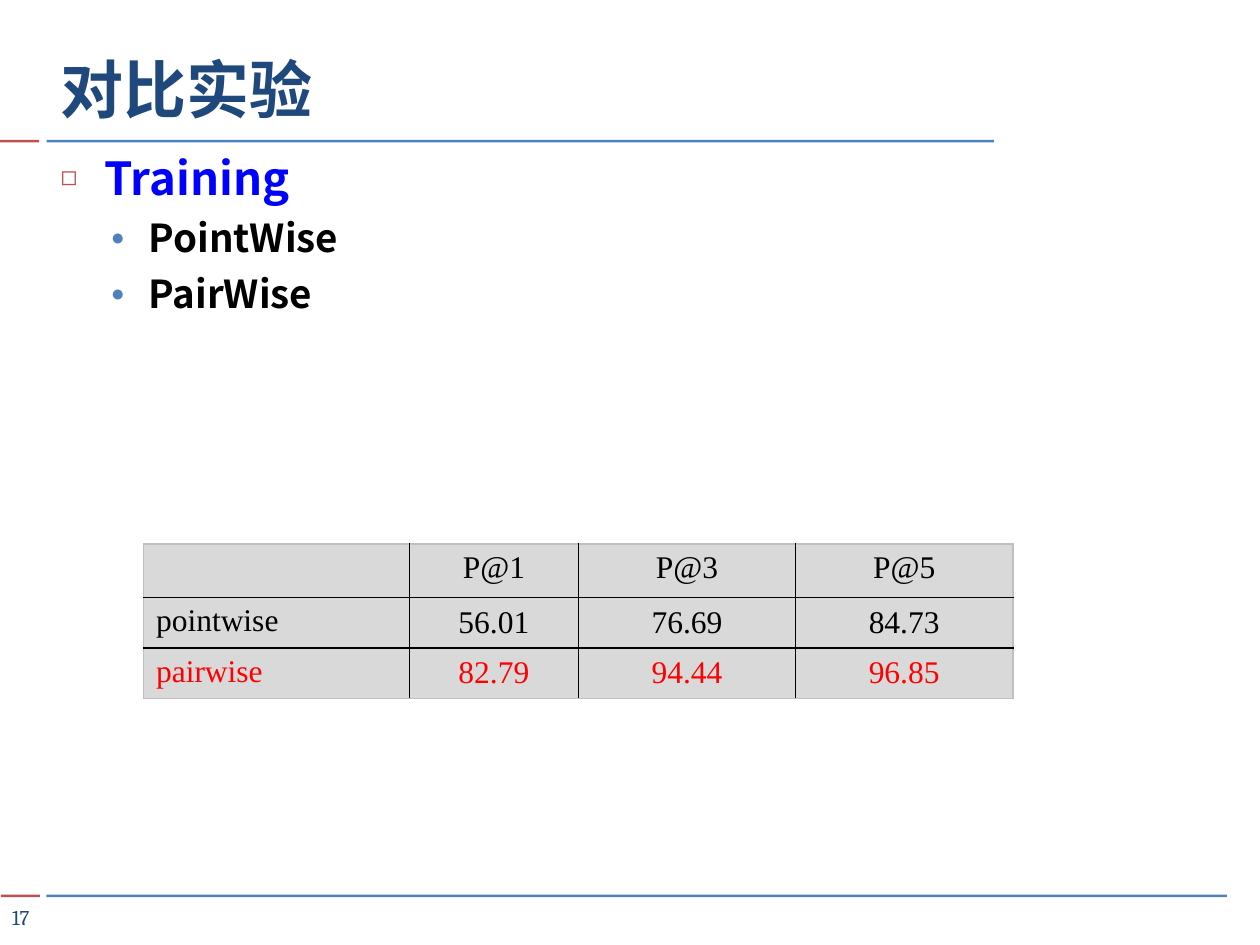
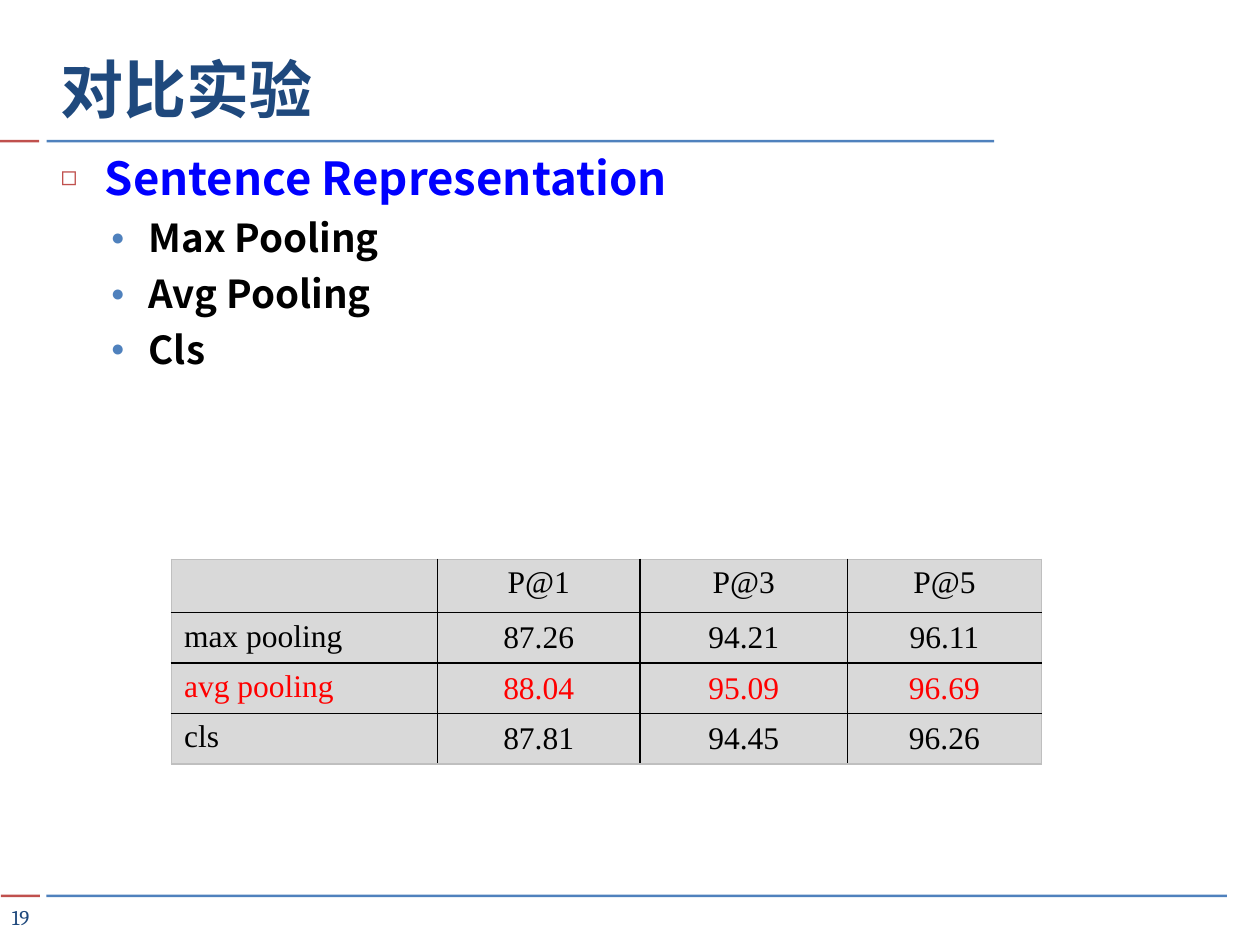
from lxml import etree
from pptx import Presentation
from pptx import util as u
from pptx.dml.color import RGBColor
from pptx.enum import shapes, text
from pptx.oxml.ns import qn

Pt = u.Pt
LEFT, MID = text.PP_ALIGN.LEFT, text.PP_ALIGN.CENTER


def hue(code):
    return RGBColor.from_string(code)


def node(parent, tag, **attrs):
    return etree.SubElement(parent, qn(tag), attrs)


def write(par, words, size=18, font="Cambria", color="000000", bold=False, align=LEFT, gap=0):
    par.alignment = align
    par.space_before = Pt(gap)
    run = par.add_run()
    run.text = words
    run.font.size = Pt(size)
    run.font.name = font
    run.font.bold = bold
    run.font.color.rgb = hue(color)
    node(run.font._element, "a:ea", typeface="Noto Sans CJK SC")


def bullet(par, sign, color, left, hang):
    props = par._p.get_or_add_pPr()
    props.set("marL", str(Pt(left)))
    props.set("indent", str(-Pt(hang)))
    node(node(props, "a:buClr"), "a:srgbClr", val=color)
    node(props, "a:buSzPct", val="60000")
    node(props, "a:buChar", char=sign)


def place(shape, box):
    shape.left, shape.top, shape.width, shape.height = map(Pt, box)


class Deck:
    navy, blue, red = "1F497D", "4F81BD", "C0504D"
    vivid, black, alert = "0000FF", "000000", "FF0000"
    grey, edge = "D9D9D9", "BFBFBF"
    sans, serif = "Noto Sans CJK SC", "Times New Roman"

    def __init__(self):
        self.prs = Presentation()
        self.prs.slide_width, self.prs.slide_height = Pt(720), Pt(540)

    def page(self, title, number):
        self.slide = self.prs.slides.add_slide(self.prs.slide_layouts[1])
        for top, start, width in ((79.9, 0, 541.5), (511.2, 0.5, 674.6)):
            self.bar(start, top, 22.4, self.red)
            self.bar(26.6, top, width, self.blue)
        self.title(title)
        self.number(number)

    def bar(self, left, top, width, color):
        rect = self.slide.shapes.add_shape(
            shapes.MSO_SHAPE.RECTANGLE, Pt(left), Pt(top), Pt(width), Pt(1.44))
        rect.shadow.inherit = False
        rect.fill.solid()
        rect.fill.fore_color.rgb = hue(color)
        rect.line.fill.background()

    def title(self, words):
        head = self.slide.shapes.title
        place(head, (27.4, 13, 534, 62.6))
        frame = head.text_frame
        frame.auto_size = text.MSO_AUTO_SIZE.NONE
        frame.vertical_anchor = text.MSO_ANCHOR.BOTTOM
        write(frame.paragraphs[0], words, size=36, color=self.navy, bold=True)

    def number(self, value):
        box = self.slide.shapes.add_textbox(Pt(1.4), Pt(514.1), Pt(20.9), Pt(20.2))
        frame = box.text_frame
        frame.word_wrap = True
        frame.margin_left = frame.margin_right = frame.margin_top = frame.margin_bottom = 0
        frame.vertical_anchor = text.MSO_ANCHOR.MIDDLE
        write(frame.paragraphs[0], str(value), size=12, color=self.navy, align=MID)

    def points(self, topic, items, height):
        body = self.slide.placeholders[1]
        place(body, (27.4, 82.1, 662.4, height))
        frame = body.text_frame
        frame.auto_size = text.MSO_AUTO_SIZE.NONE
        par = frame.paragraphs[0]
        write(par, topic, size=26, font=self.sans, color=self.vivid, bold=True, gap=7)
        bullet(par, "◻", self.red, 25.2, 25.2)
        for item in items:
            par = frame.add_paragraph()
            par.level = 1
            write(par, item, size=22, font=self.sans, bold=True, gap=5.5)
            bullet(par, "●", self.blue, 50.4, 21.6)

    def border(self, cell, side, color):
        line = node(cell._tc.get_or_add_tcPr(), "a:ln" + side, w=str(Pt(1)))
        node(node(line, "a:solidFill"), "a:srgbClr", val=color)

    def table(self, left, top, widths, rows, best):
        rows = [["", "P@1", "P@3", "P@5"]] + rows
        tall = [30.4] + [27] * (len(rows) - 1)
        grid = self.slide.shapes.add_table(
            len(rows), len(widths), Pt(left), Pt(top), Pt(sum(widths)), Pt(sum(tall))).table
        grid.first_row = grid.horz_banding = False
        for col, width in zip(grid.columns, widths):
            col.width = Pt(width)
        for row, height in zip(grid.rows, tall):
            row.height = Pt(height)
        for r, row in enumerate(rows):
            for c, words in enumerate(row):
                cell = grid.cell(r, c)
                if r and c:
                    cell.vertical_anchor = text.MSO_ANCHOR.MIDDLE
                outer = {"L": c == 0, "R": c == len(widths) - 1,
                         "T": r == 0, "B": r == len(rows) - 1}
                for side, out in outer.items():
                    self.border(cell, side, self.edge if out else self.black)
                cell.fill.solid()
                cell.fill.fore_color.rgb = hue(self.grey)
                if words:
                    write(cell.text_frame.paragraphs[0], words, font=self.serif,
                          color=self.alert if r == best else self.black,
                          align=MID if c else LEFT)


def main():
    deck = Deck()
    deck.page("对比实验", 17)
    deck.points("Training", ["PointWise", "PairWise"], 164.2)
    deck.table(82, 311, [151.9, 96.7, 124.1, 124.1], [
        ["pointwise", "56.01", "76.69", "84.73"],
        ["pairwise", "82.79", "94.44", "96.85"]], best=2)

    deck.page("对比实验", 19)
    deck.points("Sentence Representation", ["Max Pooling", "Avg Pooling", "Cls"], 170.6)
    deck.table(98, 319.7, [151.9, 115.9, 118.6, 110.7], [
        ["max pooling", "87.26", "94.21", "96.11"],
        ["avg pooling", "88.04", "95.09", "96.69"],
        ["cls", "87.81", "94.45", "96.26"]], best=2)
    deck.prs.save("out.pptx")


if __name__ == "__main__":
    main()
